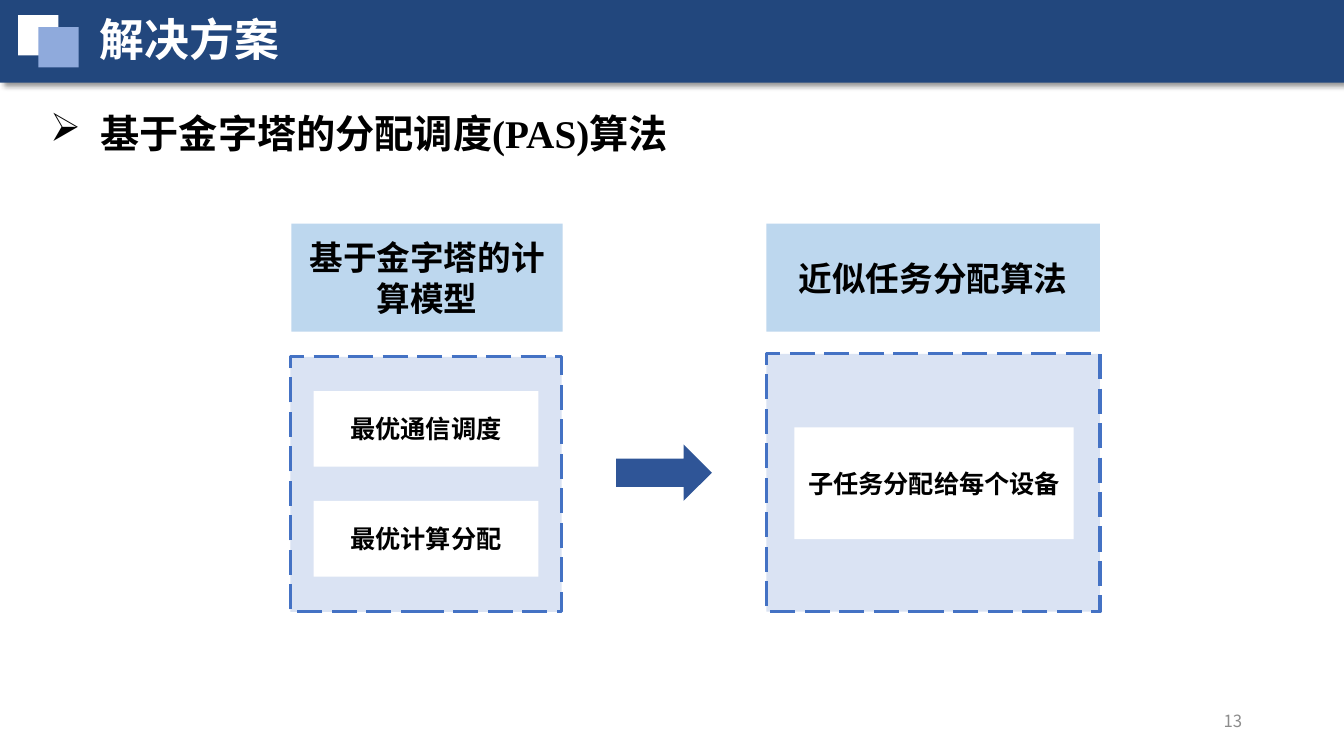
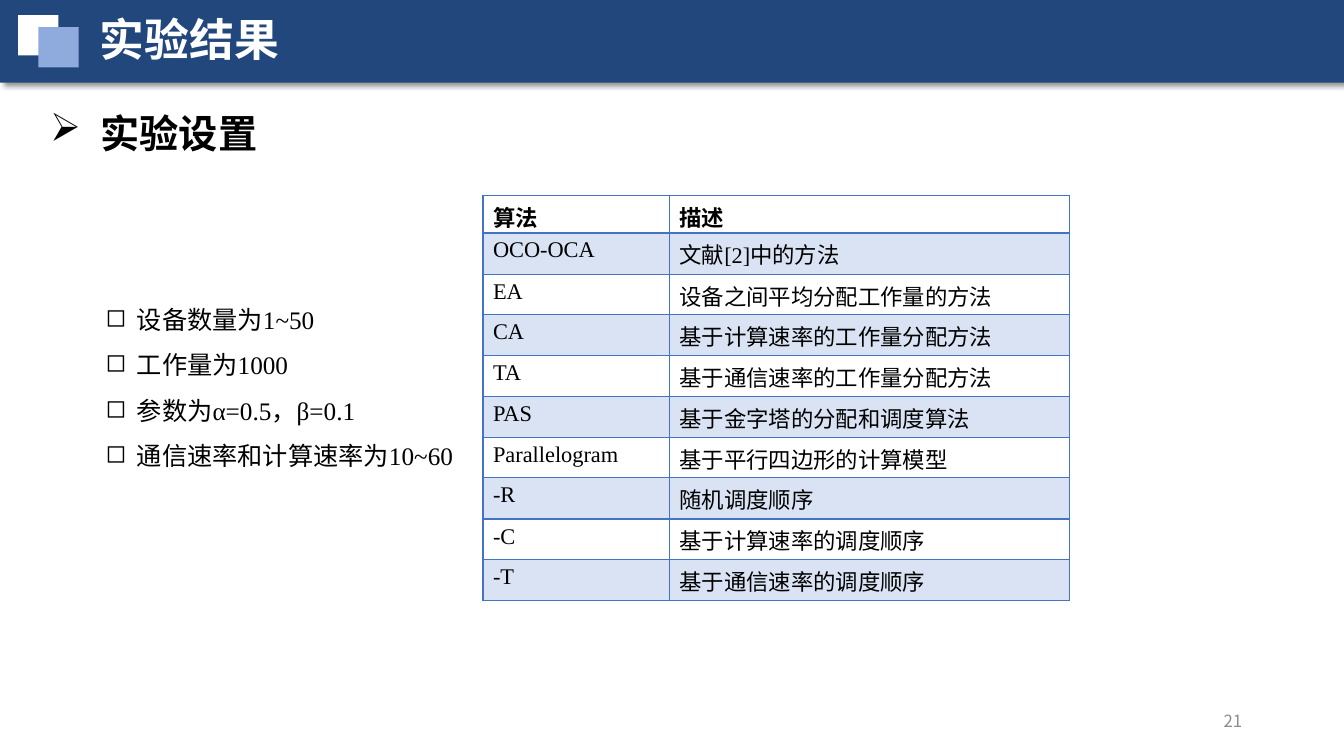
import dataclasses

import lxml.etree
import pptx
import pptx.dml.color
import pptx.enum.dml
import pptx.enum.shapes
import pptx.enum.text
import pptx.oxml.ns
import pptx.util


@dataclasses.dataclass(frozen=True)
class Theme:
    band: str = "22477D"
    square: str = "8FAADC"
    white: str = "FFFFFF"
    black: str = "000000"
    muted: str = "8C8C8C"
    arrow: str = "2F5597"
    label: str = "BDD7EE"
    panel: str = "DAE3F3"
    line: str = "4472C4"
    cjk: str = "Noto Sans CJK SC"
    latin: str = "Times New Roman"
    title: int = 32
    heading: int = 28
    label_size: int = 24
    body: int = 18
    table: int = 16
    footer: int = 12


theme = Theme()
PX = 9144
RGB = pptx.dml.color.RGBColor.from_string
SHAPES = pptx.enum.shapes.MSO_SHAPE
ALIGN = pptx.enum.text.PP_ALIGN
MIDDLE = pptx.enum.text.MSO_ANCHOR.MIDDLE
qn = pptx.oxml.ns.qn


def add_box(page, at, fill=None, preset=SHAPES.RECTANGLE):
    place = [length * PX for length in at]
    if fill is None:
        box = page.shapes.add_textbox(*place)
    else:
        box = page.shapes.add_shape(preset, *place)
        box.shadow.inherit = False
        box.fill.solid()
        box.fill.fore_color.rgb = RGB(fill)
        box.line.fill.background()
    box.text_frame.word_wrap = True
    return box


def add_spans(para, spans, size, color=theme.black, bold=False, align=None, bullet=None, indent=0):
    if align is not None:
        para.alignment = align
    if bullet:
        para.line_spacing = 1.5
        props = para._p.get_or_add_pPr()
        props.set("marL", str(indent * PX))
        props.set("indent", str(-indent * PX))
        lxml.etree.SubElement(props, qn("a:buChar"), char=bullet)
    for text, typeface in spans:
        span = para.add_run()
        span.text = text
        span.font.size = pptx.util.Pt(size)
        span.font.bold = bold
        span.font.color.rgb = RGB(color)
        span.font.name = typeface
        lxml.etree.SubElement(span._r.get_or_add_rPr(), qn("a:ea"), typeface=theme.cjk)


deck = pptx.Presentation()
deck.slide_width = 1333 * PX
deck.slide_height = 750 * PX

headers = [
    ("解决方案", "13", [("基于金字塔的分配调度", theme.cjk), ("(PAS)", theme.latin), ("算法", theme.cjk)]),
    ("实验结果", "21", [("实验设置", theme.cjk)]),
]
pages = []
for title, number, heading in headers:
    page = deck.slides.add_slide(deck.slide_layouts[6])
    pages.append(page)

    band = add_box(page, (0, 0, 1333, 82), theme.band)
    effects = band._element.spPr.find(qn("a:effectLst"))
    shadow = lxml.etree.SubElement(
        effects, qn("a:outerShdw"), blurRad="50800", dist="38100", dir="2700000", algn="tl", rotWithShape="0"
    )
    shade = lxml.etree.SubElement(shadow, qn("a:srgbClr"), val=theme.black)
    lxml.etree.SubElement(shade, qn("a:alpha"), val="40000")
    add_box(page, (18, 15, 40, 40), theme.white)
    add_box(page, (38, 27, 40, 40), theme.square)

    box = add_box(page, (89, 7, 779, 64))
    add_spans(box.text_frame.paragraphs[0], [(title, theme.cjk)], theme.title, theme.white, bold=True)
    box = add_box(page, (942, 695, 300, 40))
    box.text_frame.vertical_anchor = MIDDLE
    add_spans(box.text_frame.paragraphs[0], [(number, theme.cjk)], theme.footer, theme.muted, align=ALIGN.RIGHT)
    box = add_box(page, (40, 80, 1200, 72))
    add_spans(box.text_frame.paragraphs[0], heading, theme.heading, bold=True, bullet="➢", indent=50)

solution, results = pages

add_box(solution, (611, 441, 95, 56), theme.arrow, SHAPES.RIGHT_ARROW)
for at in [(288, 354, 269, 253), (760, 351, 331, 256)]:
    panel = add_box(solution, at, theme.panel)
    panel.line.color.rgb = RGB(theme.line)
    panel.line.width = pptx.util.Pt(2.25)
    panel.line.dash_style = pptx.enum.dml.MSO_LINE.LONG_DASH

blocks = [
    ("基于金字塔的计算模型", (289, 222, 269, 107), theme.label, theme.label_size),
    ("最优通信调度", (311, 388, 223, 75), theme.white, theme.body),
    ("最优计算分配", (311, 497, 223, 75), theme.white, theme.body),
    ("近似任务分配算法", (760, 222, 331, 107), theme.label, theme.label_size),
    ("子任务分配给每个设备", (788, 424, 277, 111), theme.white, theme.body),
]
for text, at, fill, size in blocks:
    box = add_box(solution, at, fill)
    box.text_frame.vertical_anchor = MIDDLE
    add_spans(box.text_frame.paragraphs[0], [(text, theme.cjk)], size, bold=True, align=ALIGN.CENTER)

algorithms = [
    ("算法", "描述"),
    ("OCO-OCA", "文献[2]中的方法"),
    ("EA", "设备之间平均分配工作量的方法"),
    ("CA", "基于计算速率的工作量分配方法"),
    ("TA", "基于通信速率的工作量分配方法"),
    ("PAS", "基于金字塔的分配和调度算法"),
    ("Parallelogram", "基于平行四边形的计算模型"),
    ("-R", "随机调度顺序"),
    ("-C", "基于计算速率的调度顺序"),
    ("-T", "基于通信速率的调度顺序"),
]
heights = [37] + [40 + row % 2 for row in range(1, len(algorithms))]
table = results.shapes.add_table(
    len(algorithms), 2, 479 * PX, 194 * PX, 582 * PX, sum(heights) * PX
).table
table.first_row = False
table.horz_banding = False
for column, width in enumerate((185, 397)):
    table.columns[column].width = width * PX
for row, texts in enumerate(algorithms):
    table.rows[row].height = heights[row] * PX
    for column, text in enumerate(texts):
        cell = table.cell(row, column)
        cell.margin_bottom = 0
        props = cell._tc.get_or_add_tcPr()
        for side in "LRTB":
            thick = (row, side) in [(0, "B"), (1, "T")]
            edge = lxml.etree.SubElement(props, qn("a:ln" + side), w="25400" if thick else "12700")
            paint = lxml.etree.SubElement(edge, qn("a:solidFill"))
            lxml.etree.SubElement(paint, qn("a:srgbClr"), val=theme.line)
        if row % 2:
            cell.fill.solid()
            cell.fill.fore_color.rgb = RGB(theme.panel)
        else:
            cell.fill.background()
        add_spans(cell.text_frame.paragraphs[0], [(text, theme.latin)], theme.table, bold=row == 0)

settings = ["设备数量为1~50", "工作量为1000", "参数为α=0.5，β=0.1", "通信速率和计算速率为10~60"]
frame = add_box(results, (95, 282, 384, 186)).text_frame
for index, text in enumerate(settings):
    para = frame.add_paragraph() if index else frame.paragraphs[0]
    add_spans(para, [(text, theme.latin)], theme.body, bullet="◻", indent=31)

deck.save("out.pptx")
